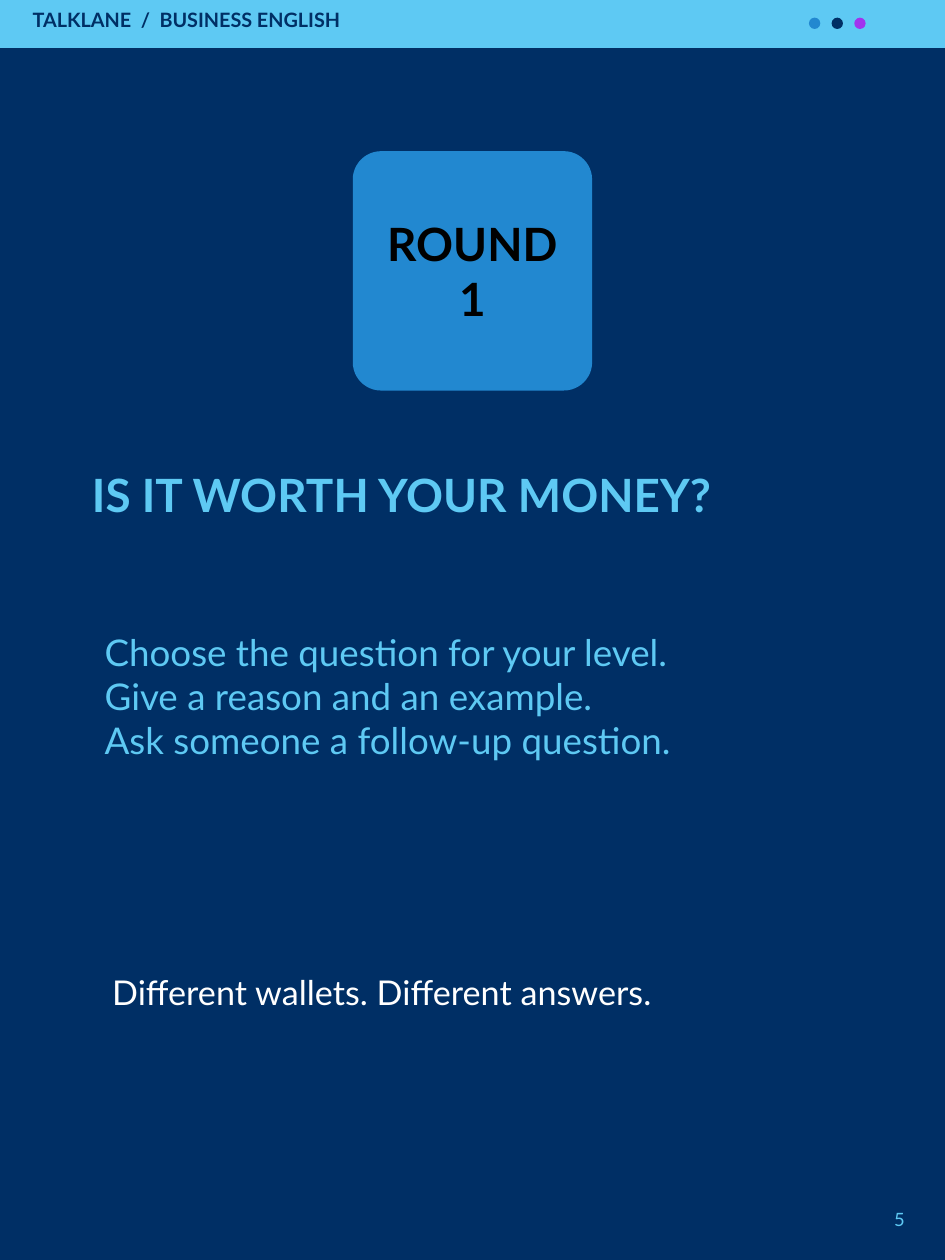
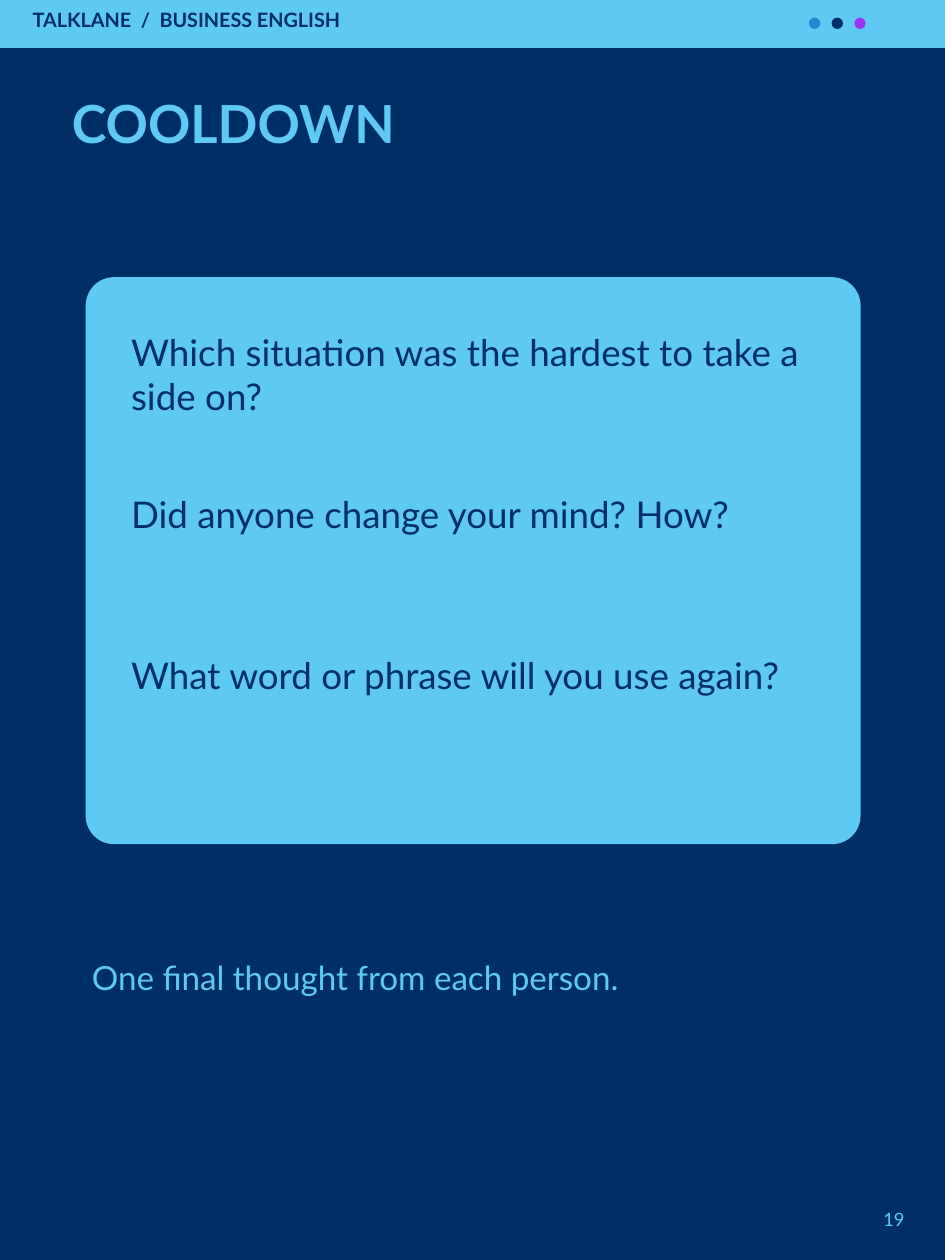
"""Builds two portrait slides of a business English conversation deck."""
from lxml.etree import SubElement
from pptx import Presentation
from pptx.dml.color import RGBColor
from pptx.enum.shapes import MSO_SHAPE
from pptx.enum.text import MSO_ANCHOR, MSO_AUTO_SIZE, PP_ALIGN
from pptx.oxml.ns import qn
from pptx.util import Inches, Pt

NAVY = RGBColor(0x00, 0x2F, 0x65)
SKY = RGBColor(0x5E, 0xC9, 0xF3)
BLUE = RGBColor(0x22, 0x88, 0xD0)
PURPLE = RGBColor(0xA1, 0x33, 0xEE)
WHITE = RGBColor(0xFF, 0xFF, 0xFF)
BLACK = RGBColor(0x00, 0x00, 0x00)

FONT = "Lato"
LEADING = 1.2
CORNER = 0.225


def write(shape, *lines, size, color=SKY, bold=False, align=PP_ALIGN.LEFT,
          anchor=MSO_ANCHOR.TOP, gaps=()):
    """Fill a shape with one paragraph per line; gaps are points before each."""
    frame = shape.text_frame
    frame.margin_left = frame.margin_right = 0
    frame.margin_top = frame.margin_bottom = 0
    frame.word_wrap = True
    frame.auto_size = MSO_AUTO_SIZE.NONE
    frame.vertical_anchor = anchor
    for index, line in enumerate(lines):
        paragraph = frame.add_paragraph() if index else frame.paragraphs[0]
        properties = paragraph._p.get_or_add_pPr()
        properties.set("marL", "0")
        properties.set("indent", "0")
        SubElement(properties, qn("a:buNone"))
        paragraph.alignment = align
        paragraph.line_spacing = Pt(size * LEADING)
        paragraph.space_before = Pt(gaps[index] if gaps else 0)
        paragraph.space_after = Pt(0)
        run = paragraph.add_run()
        run.text = line
        run.font.name = FONT
        run.font.size = Pt(size)
        run.font.bold = bold
        run.font.color.rgb = color


class Deck:
    """Holds the presentation, its style and the current slide."""

    def __init__(self):
        self.presentation = Presentation()
        self.presentation.slide_width = Inches(7.5)
        self.presentation.slide_height = Inches(10)
        background = self.presentation.slide_master.background.fill
        background.solid()
        background.fore_color.rgb = NAVY
        self.slide = None

    def start_slide(self, number):
        """Add a slide with its header band, dots and page number."""
        layout = self.presentation.slide_layouts[1]
        self.slide = self.presentation.slides.add_slide(layout)
        self.shape(MSO_SHAPE.RECTANGLE, 0, 0, 7.5, 0.38, SKY)
        self.text(0.26, 0.06, 5.9, 0.25, "TALKLANE  /  BUSINESS ENGLISH",
                  size=11.25, color=NAVY, bold=True)
        for index, color in enumerate((BLUE, NAVY, PURPLE)):
            self.shape(MSO_SHAPE.OVAL, 6.42 + 0.18 * index, 0.14, 0.09, 0.09, color)
        self.text(6.82, 9.59, 0.36, 0.24, str(number), size=10.5,
                  align=PP_ALIGN.RIGHT)

    def shape(self, kind, left, top, width, height, color):
        """Add a plain filled preset shape."""
        shape = self.slide.shapes.add_shape(
            kind, Inches(left), Inches(top), Inches(width), Inches(height))
        shape.shadow.inherit = False
        shape.fill.solid()
        shape.fill.fore_color.rgb = color
        shape.line.fill.background()
        return shape

    def card(self, left, top, width, height, color):
        """Add a rounded rectangle with the common corner radius."""
        card = self.shape(MSO_SHAPE.ROUNDED_RECTANGLE, left, top, width, height, color)
        card.adjustments[0] = CORNER / min(width, height)
        return card

    def text(self, left, top, width, height, *lines, **style):
        """Add a text box."""
        box = self.slide.shapes.add_textbox(
            Inches(left), Inches(top), Inches(width), Inches(height))
        write(box, *lines, **style)

    def placeholder(self, index, left, top, width, height, *lines, **style):
        """Place a template placeholder in front and fill it."""
        holder = self.slide.placeholders[index]
        holder.left, holder.top = Inches(left), Inches(top)
        holder.width, holder.height = Inches(width), Inches(height)
        holder.element.getparent().append(holder.element)
        write(holder, *lines, **style)

    def title(self, *args, **style):
        """Fill the title placeholder."""
        self.placeholder(0, *args, bold=True, **style)

    def body(self, *args, **style):
        """Fill the body placeholder."""
        self.placeholder(1, *args, size=21, **style)


def build_round(deck):
    """Build the opening slide of the first round."""
    deck.start_slide(5)
    badge = deck.card(2.8, 1.2, 1.9, 1.9, BLUE)
    write(badge, "ROUND", "1", size=26.25, color=BLACK, bold=True,
          align=PP_ALIGN.CENTER, anchor=MSO_ANCHOR.MIDDLE)
    deck.title(0.73, 3.7, 6.04, 1.04, "IS IT WORTH YOUR MONEY?", size=26.25)
    deck.body(0.83, 5, 5.83, 1.67,
              "Choose the question for your level.",
              "Give a reason and an example.",
              "Ask someone a follow-up question.")
    deck.text(0.89, 7.71, 5.73, 0.94, "Different wallets. Different answers.",
              size=19.5, color=WHITE)


def build_cooldown(deck):
    """Build the closing slide with its question card."""
    deck.start_slide(19)
    deck.title(0.57, 0.72, 6.35, 0.9, "COOLDOWN", size=30)
    deck.card(0.68, 2.2, 6.15, 4.5, SKY)
    deck.body(1.04, 2.62, 5.5, 3.56,
              "Which situation was the hardest to take a side on?",
              "Did anyone change your mind? How?",
              "What word or phrase will you use again?",
              color=NAVY, gaps=(0, 42, 67))
    deck.text(0.73, 7.6, 6.04, 0.6, "One final thought from each person.", size=19)


def main():
    """Build and save the deck."""
    deck = Deck()
    build_round(deck)
    build_cooldown(deck)
    deck.presentation.save("out.pptx")


if __name__ == "__main__":
    main()
